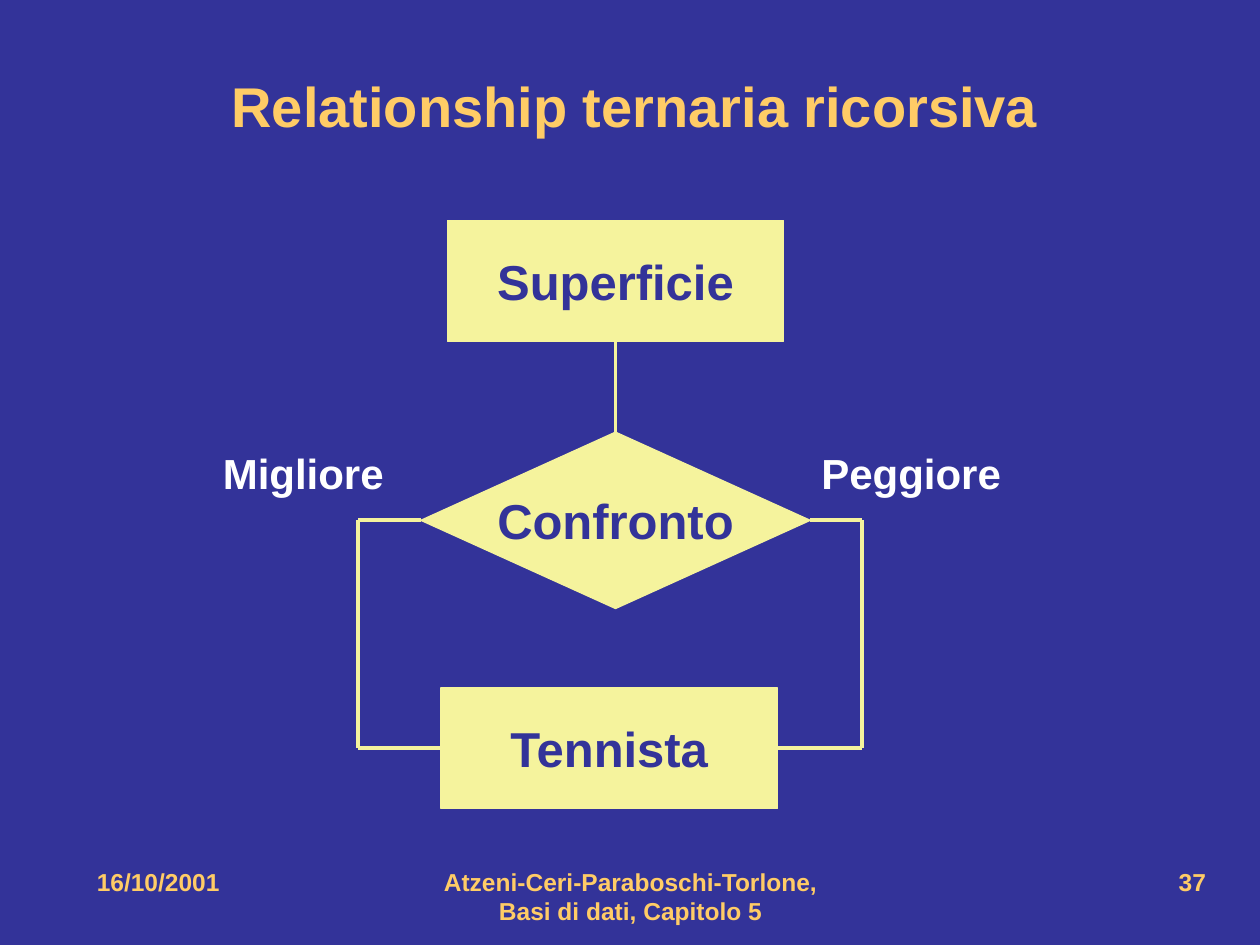
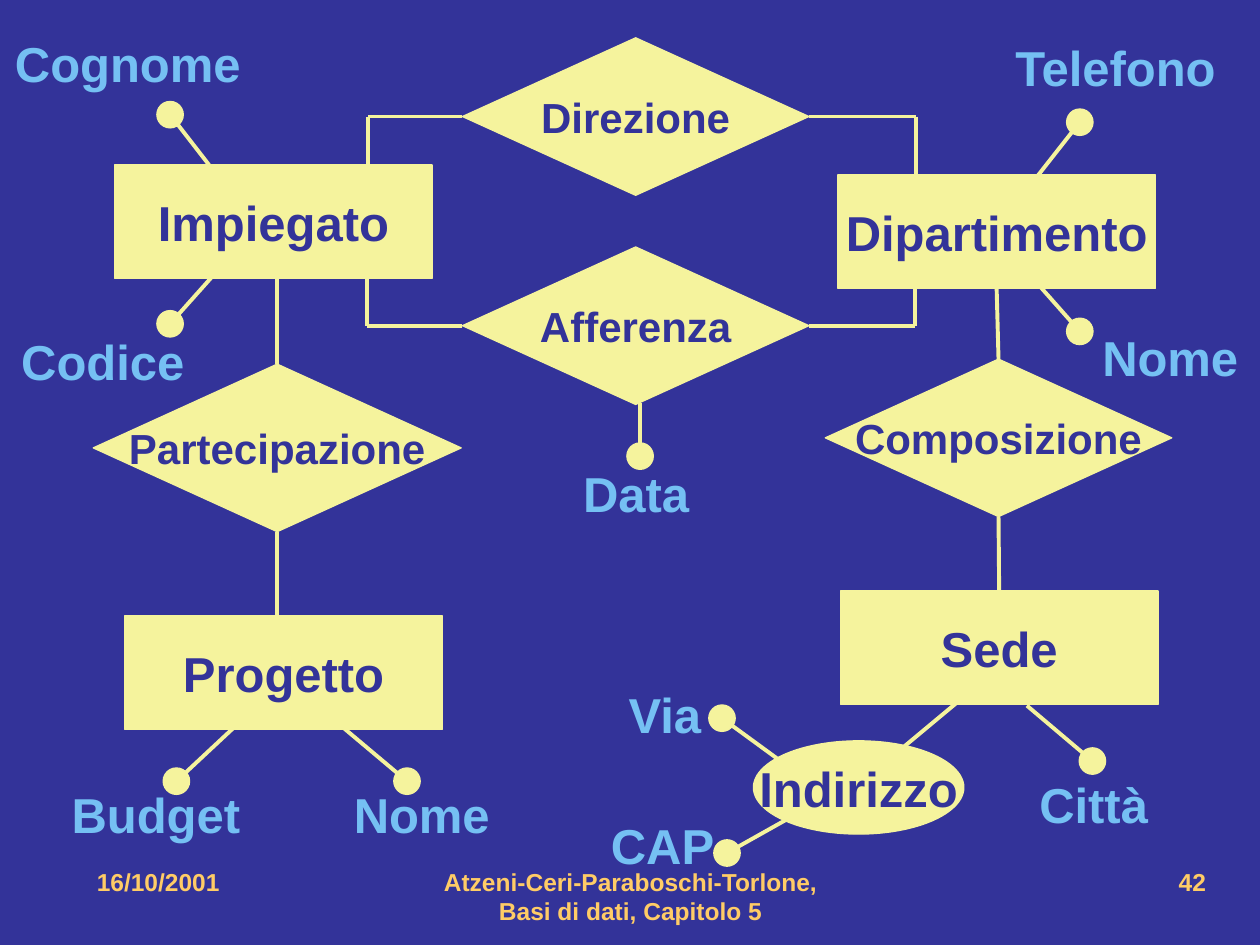
from lxml import etree
from pptx import Presentation
from pptx import util as u
from pptx.dml.color import RGBColor
from pptx.enum import shapes, text
from pptx.oxml.ns import qn

NAVY = RGBColor(0x33, 0x33, 0x99)
CREAM = RGBColor(0xF5, 0xF3, 0x9D)
GOLD = RGBColor(0xFF, 0xCC, 0x66)
SKY = RGBColor(0x75, 0xC0, 0xF3)
WHITE = RGBColor(0xFF, 0xFF, 0xFF)
FONT = "Arial"

COLUMNS, ROWS = 10, 7.5
CELL = u.Inches(1)
DOT = 0.21
LABEL_SLACK = 0.06
LABEL_HEIGHT = {24: 0.5, 28: 0.57}
TOP, LEFT, BOTTOM, RIGHT = range(4)

RECT = shapes.MSO_SHAPE.RECTANGLE
DIAMOND = shapes.MSO_SHAPE.DIAMOND
OVAL = shapes.MSO_SHAPE.OVAL
ALIGN = text.PP_ALIGN
ANCHOR = text.MSO_ANCHOR

FOOTER = [
    ("16/10/2001", 0.67, 2.17, ALIGN.LEFT),
    ("Atzeni-Ceri-Paraboschi-Torlone, Basi di dati, Capitolo 5", 3.42, 3.17, ALIGN.CENTER),
]
NUMBER_PLACE = (7.17, 2.5, ALIGN.RIGHT)
FOOTER_ROW, FOOTER_HEIGHT = 6.83, 0.5

TERNARY = {
    "number": "37",
    "title": "Relationship ternaria ricorsiva",
    "nodes": {
        "Confronto": (DIAMOND, 3.34, 3.43, 3.09, 1.4, 28),
        "Tennista": (RECT, 3.5, 5.46, 2.67, 0.96, 28),
        "Superficie": (RECT, 3.55, 1.75, 2.67, 0.96, 28),
    },
    "links": [(("Superficie", BOTTOM), ("Confronto", TOP))],
    "brackets": [
        ("Confronto", LEFT, 2.84, ("Tennista", LEFT)),
        ("Confronto", RIGHT, 6.84, ("Tennista", RIGHT)),
    ],
    "roles": [("Migliore", 1.67, 3.5, 1.48), ("Peggiore", 6.42, 3.5, 1.62)],
    "attributes": [],
}

COMPANY = {
    "number": "42",
    "title": None,
    "nodes": {
        "Composizione": (DIAMOND, 6.55, 2.85, 2.75, 1.25, 24),
        "Partecipazione": (DIAMOND, 0.74, 2.89, 2.92, 1.33, 24),
        "Afferenza": (DIAMOND, 3.67, 1.96, 2.75, 1.25, 24),
        "Direzione": (DIAMOND, 3.67, 0.3, 2.75, 1.25, 24),
        "Progetto": (RECT, 0.99, 4.89, 2.52, 0.9, 28),
        "Impiegato": (RECT, 0.91, 1.31, 2.52, 0.9, 28),
        "Dipartimento": (RECT, 6.65, 1.39, 2.52, 0.9, 28),
        "Sede": (RECT, 6.67, 4.69, 2.52, 0.9, 28),
        "Indirizzo": (OVAL, 5.98, 5.88, 1.67, 0.74, 28),
    },
    "links": [
        (("Dipartimento", BOTTOM), ("Composizione", TOP)),
        (("Composizione", BOTTOM), ("Sede", TOP)),
        (("Partecipazione", TOP), (2.2, 2.2)),
        (("Partecipazione", BOTTOM), (2.2, 4.9)),
        ((7.59, 5.58), (7.11, 5.98)),
    ],
    "brackets": [
        ("Direzione", LEFT, 2.92, 1.31),
        ("Direzione", RIGHT, 7.27, 1.4),
        ("Afferenza", LEFT, 2.91, 2.2),
        ("Afferenza", RIGHT, 7.26, 2.28),
    ],
    "roles": [],
    "attributes": [
        (("Cognome", 0.02, 0.22, 1.99), (1.35, 0.91), (1.66, 1.31)),
        (("Codice", 0.07, 2.58, 1.49), (1.35, 2.57), (1.68, 2.2)),
        (("Telefono", 7.96, 0.25, 1.82), (8.57, 0.97), (8.24, 1.39)),
        (("Nome", 8.65, 2.55, 1.28), (8.57, 2.63), (8.26, 2.28)),
        (("Data", 4.53, 3.63, 1.04), (5.08, 3.62), (5.08, 3.2)),
        (("Budget", 0.47, 6.18, 1.54), (1.4, 6.2), (1.85, 5.78)),
        (("Nome", 2.71, 6.18, 1.28), (3.23, 6.2), (2.73, 5.78)),
        (("Città", 8.15, 6.1, 1.06), (8.67, 6.04), (8.15, 5.6)),
        (("Via", 4.89, 5.38, 0.78), (5.73, 5.7), (6.25, 6.08)),
        (("CAP", 4.75, 6.42, 1.02), (5.77, 6.77), (6.25, 6.5)),
    ],
}


def cells(*lengths):
    return [round(length * CELL) for length in lengths]


def write(box, words, size=28, color=NAVY, align=ALIGN.LEFT, anchor=ANCHOR.TOP,
          wrap=False):
    frame = box.text_frame
    frame.word_wrap = wrap
    frame.vertical_anchor = anchor
    frame.auto_size = text.MSO_AUTO_SIZE.NONE
    para = frame.paragraphs[0]
    para.alignment = align
    span = para.add_run()
    span.text = words
    span.font.name = FONT
    span.font.size = u.Pt(size)
    span.font.bold = True
    span.font.color.rgb = color


def add_label(page, label, size, color):
    words, left, top, width = label
    box = page.shapes.add_textbox(
        *cells(left, top, width + LABEL_SLACK, LABEL_HEIGHT[size]))
    write(box, words, size=size, color=color, wrap=True)


def add_solid(page, kind, left, top, width, height):
    shape = page.shapes.add_shape(kind, *cells(left, top, width, height))
    shape.shadow.inherit = False
    shape.fill.solid()
    shape.fill.fore_color.rgb = CREAM
    shape.line.color.rgb = CREAM
    shape.line.width = u.Pt(0.75)
    return shape


def add_link(page, nodes, start, end):
    ends = [(0, 0) if point[0] in nodes else point for point in (start, end)]
    line = page.shapes.add_connector(shapes.MSO_CONNECTOR.STRAIGHT,
                                     *cells(*ends[0], *ends[1]))
    for point, join in ((start, line.begin_connect), (end, line.end_connect)):
        if point[0] in nodes:
            join(nodes[point[0]], point[1])
    line.line.color.rgb = CREAM
    line.line.width = u.Pt(2.25)
    etree.SubElement(line._element.spPr, qn("a:effectLst"))


def add_bracket(page, nodes, diamond, side, column, target):
    def middle(name):
        return (nodes[name].top + nodes[name].height / 2) / CELL

    corner = (column, middle(diamond))
    add_link(page, nodes, (diamond, side), corner)
    if isinstance(target, tuple):
        turn = (column, middle(target[0]))
        add_link(page, nodes, turn, target)
    else:
        turn = (column, target)
    add_link(page, nodes, corner, turn)


def add_footer(page, number):
    for words, left, width, align in FOOTER + [(number, *NUMBER_PLACE)]:
        box = page.shapes.add_textbox(*cells(left, FOOTER_ROW, width, FOOTER_HEIGHT))
        write(box, words, size=14, color=GOLD, align=align, wrap=True)


def add_diagram(deck, diagram):
    page = deck.slides.add_slide(deck.slide_layouts[6])
    page.background.fill.solid()
    page.background.fill.fore_color.rgb = NAVY
    if diagram["title"]:
        box = page.shapes.add_textbox(*cells(0.5, 0.25, 9.08, 1.17))
        write(box, diagram["title"], size=32, color=GOLD, align=ALIGN.CENTER,
              anchor=ANCHOR.MIDDLE, wrap=True)
    nodes = {}
    for name, (kind, left, top, width, height, size) in diagram["nodes"].items():
        nodes[name] = add_solid(page, kind, left, top, width, height)
        write(nodes[name], name, size=size, align=ALIGN.CENTER, anchor=ANCHOR.MIDDLE)
    for start, end in diagram["links"]:
        add_link(page, nodes, start, end)
    for bracket in diagram["brackets"]:
        add_bracket(page, nodes, *bracket)
    for label, (column, row), end in diagram["attributes"]:
        add_link(page, nodes, (column, row), end)
        add_solid(page, OVAL, column - DOT / 2, row - DOT / 2, DOT, DOT)
        add_label(page, label, 28, SKY)
    for label in diagram["roles"]:
        add_label(page, label, 24, WHITE)
    add_footer(page, diagram["number"])


def main():
    deck = Presentation()
    deck.slide_width, deck.slide_height = cells(COLUMNS, ROWS)
    for diagram in (TERNARY, COMPANY):
        add_diagram(deck, diagram)
    deck.save("out.pptx")


if __name__ == "__main__":
    main()
